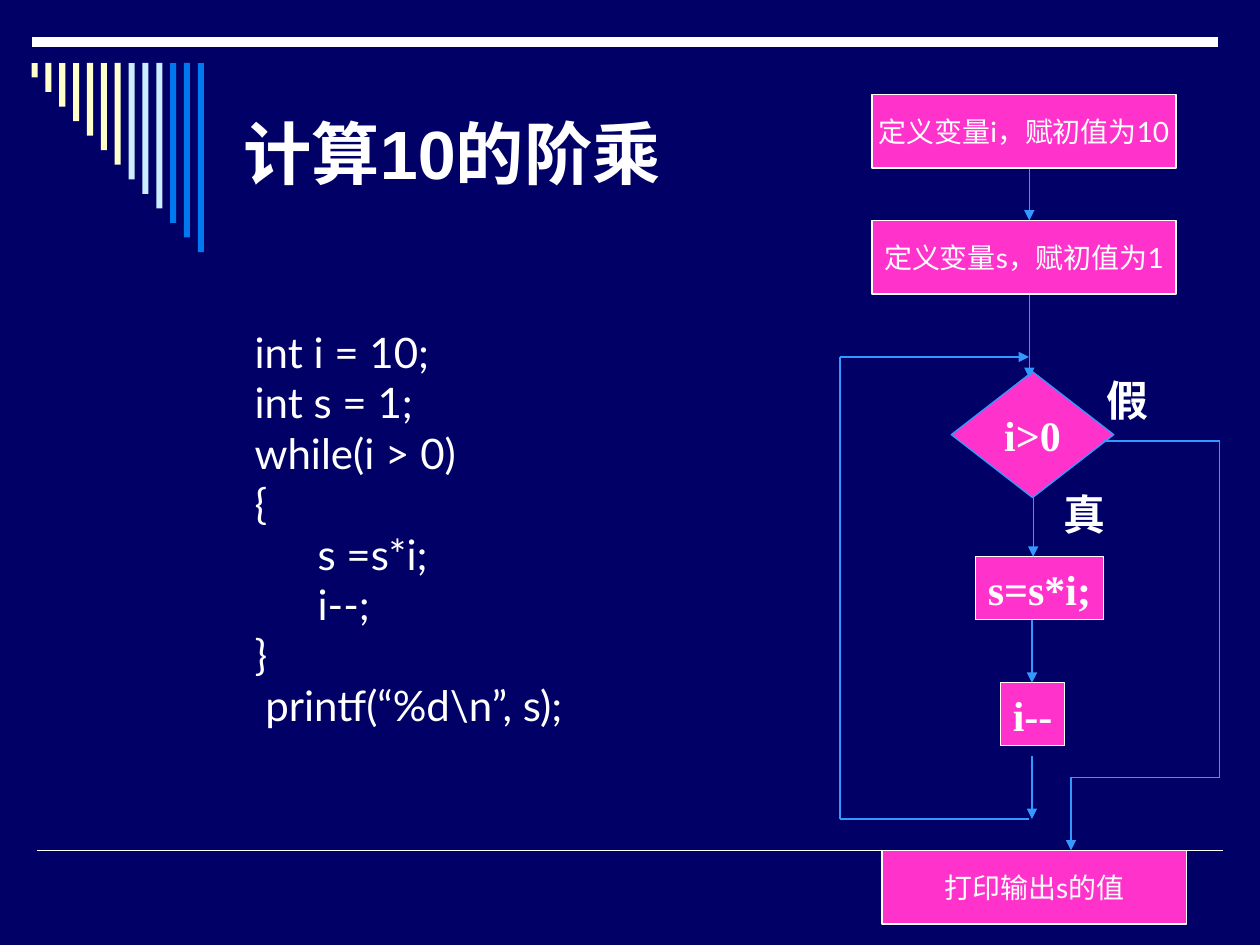
from itertools import pairwise

from lxml.etree import SubElement
from pptx import Presentation
from pptx.dml.color import RGBColor
from pptx.enum.shapes import MSO_CONNECTOR, MSO_SHAPE
from pptx.enum.text import MSO_ANCHOR, PP_ALIGN
from pptx.oxml.ns import qn
from pptx.util import Pt

WHITE, PINK, BLUE = "FFFFFF", "FF33CC", "3399FF"
CODE = """int i = 10;
int s = 1;
while(i > 0)
{
\ts =s*i;
\ti--;
}
 printf(“%d\\n”, s);"""


def color(fmt, value):
    fmt.rgb = RGBColor.from_string(value)


def write(shape, text, size, face, bold=False, align=PP_ALIGN.LEFT,
          anchor=MSO_ANCHOR.MIDDLE, wrap=False):
    frame = shape.text_frame
    frame.text = text
    frame.word_wrap = wrap
    frame.vertical_anchor = anchor
    for par in frame.paragraphs:
        par.alignment = align
        font = par.font
        font.size, font.name, font.bold = Pt(size), face, bold
        color(font.color, WHITE)


def label(slide, box, text, size, face, **style):
    shape = slide.shapes.add_textbox(*map(Pt, box))
    write(shape, text, size, face, **style)


def block(slide, kind, box, fill, edge=None, width=0.75):
    shape = slide.shapes.add_shape(kind, *map(Pt, box))
    shape.shadow.inherit = False
    shape.fill.solid()
    color(shape.fill.fore_color, fill)
    if edge:
        color(shape.line.color, edge)
        shape.line.width = Pt(width)
    else:
        shape.line.fill.background()
    return shape


def line(slide, start, end, hue=BLUE, width=0.75, arrow=False):
    link = slide.shapes.add_connector(
        MSO_CONNECTOR.STRAIGHT, *map(Pt, (*start, *end)))
    color(link.line.color, hue)
    link.line.width = Pt(width)
    if arrow:
        SubElement(link.line._get_or_add_ln(), qn("a:tailEnd"), type="triangle")
    SubElement(link._element.spPr, qn("a:effectLst"))


def route(slide, points):
    """Join the points with lines; the last one carries the arrowhead."""
    legs = list(pairwise(points))
    for num, (start, end) in enumerate(legs, 1):
        line(slide, start, end, arrow=num == len(legs))


def draw_frame(slide, left, top, width):
    # Rules at the head and foot
    line(slide, (left, top), (left + width, top), WHITE, 6)
    line(slide, (left + 3, top + 462), (left + 3 + width, top + 462), WHITE, 1)
    # Bars that grow by an equal step
    hues = ["FFFFCC"] * 7 + ["CCECFF"] * 3 + ["0078F0"] * 3
    for num, hue in enumerate(hues):
        box = (left + num * 7.92, top + 12, 3.5, (num + 1) * 8.31)
        block(slide, MSO_SHAPE.RECTANGLE, box, hue)


def draw_text(slide, left, top):
    label(slide, (left, top, 552, 102), "计算10的阶乘", 39, "Arial",
          bold=True, wrap=True)
    label(slide, (left + 6.4, top + 147, 218, 238), CODE, 24, "Lato",
          anchor=MSO_ANCHOR.TOP, wrap=True)


def draw_flow(slide, left, top):
    def put(x, y, *size):
        return (left + x, top + y, *size)

    def path(*points):
        route(slide, [put(*point) for point in points])

    bold = dict(size=24, face="Times New Roman", bold=True,
                align=PP_ALIGN.CENTER)

    # Decision and loop steps
    steps = [
        ("i>0", MSO_SHAPE.FLOWCHART_DECISION, 63.6, 158.4, 92.9, 72, BLUE),
        ("s=s*i;", MSO_SHAPE.RECTANGLE, 77.3, 264.2, 73.4, 36, WHITE),
        ("i--", MSO_SHAPE.RECTANGLE, 91.7, 336.2, 36.7, 36, WHITE),
    ]
    for text, kind, x, y, wide, high, edge in steps:
        write(block(slide, kind, put(x, y, wide, high), PINK, edge),
              text, **bold)

    # Branch labels
    for text, x, y in [("假", 145, 156.2), ("真", 120.5, 221.8)]:
        label(slide, put(x, y, 38.2, 36), text, **bold)

    # Straight arrows between steps
    for x, start, end in [(108.2, 42, 72), (108.2, 114, 162),
                          (110.4, 228.2, 264.2), (109.7, 300.2, 336.2),
                          (109.7, 378, 414)]:
        path((x, start), (x, end))
    # Loop back, then exit
    path((108, 414), (0, 414), (0, 150), (108, 150))
    path((150.7, 198), (217, 198), (217, 390.2), (132, 390.2), (132, 432))

    # Start and end steps
    for text, x, y in [("定义变量i，赋初值为10", 18.2, 0),
                       ("定义变量s，赋初值为1", 18.2, 72),
                       ("打印输出s的值", 24, 432)]:
        shape = block(slide, MSO_SHAPE.FLOWCHART_PROCESS,
                      put(x, y, 174, 42), PINK, WHITE, 1)
        write(shape, text, 16, "Lato", align=PP_ALIGN.CENTER)


def main():
    deck = Presentation()
    deck.slide_width, deck.slide_height = Pt(720), Pt(540)
    slide = deck.slides.add_slide(deck.slide_layouts[6])
    slide.background.fill.solid()
    color(slide.background.fill.fore_color, "000066")
    draw_frame(slide, 18, 24, 678)
    draw_text(slide, 132, 36)
    draw_flow(slide, 480, 54)
    deck.save("out.pptx")


if __name__ == "__main__":
    main()
